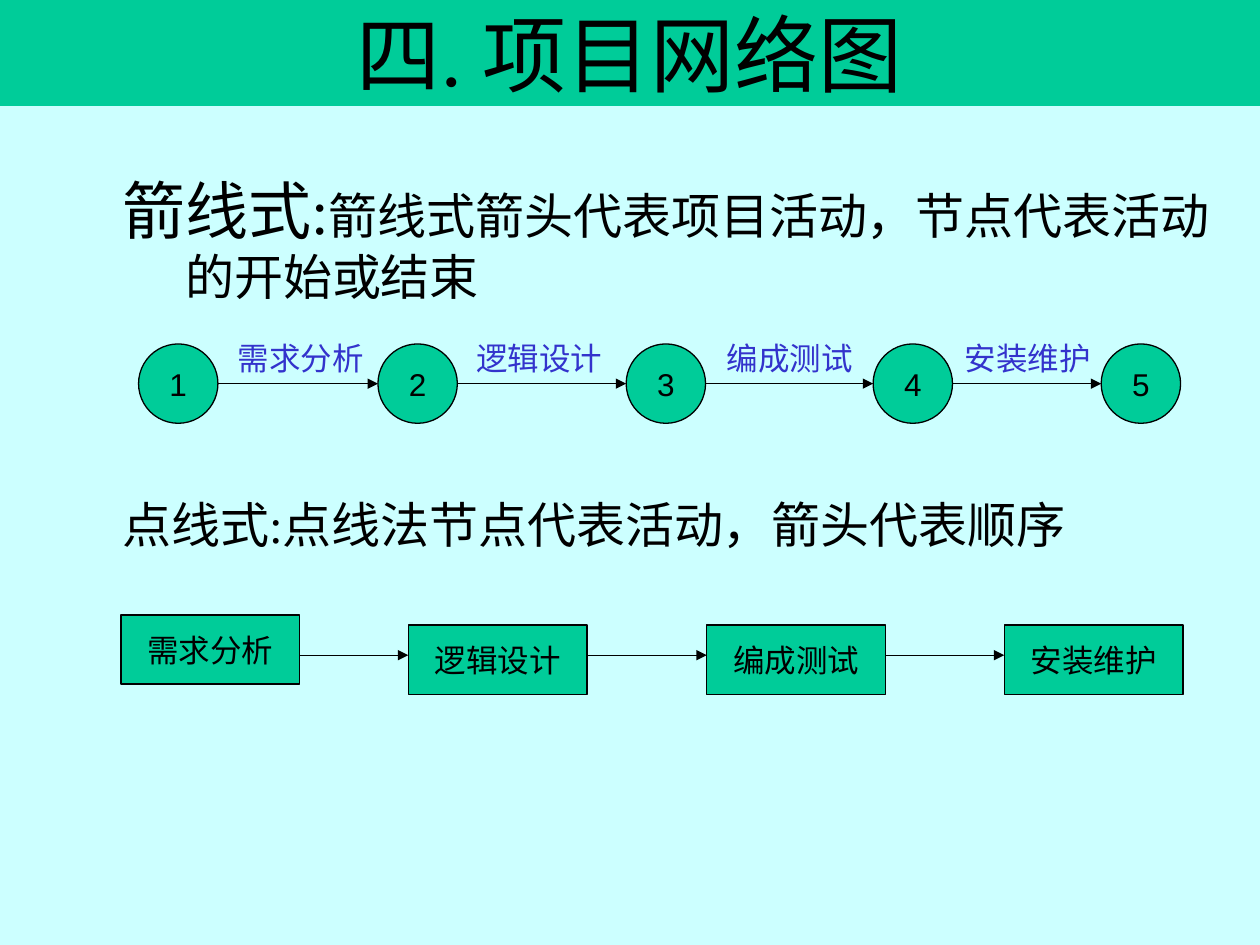
import dataclasses
import itertools

import pptx
import pptx.dml.color
import pptx.enum.shapes
import pptx.enum.text
import pptx.util
from lxml import etree
from pptx.oxml.ns import qn

Pt = pptx.util.Pt
Align = pptx.enum.text.PP_ALIGN
Anchor = pptx.enum.text.MSO_ANCHOR
Preset = pptx.enum.shapes.MSO_SHAPE


@dataclasses.dataclass(frozen=True)
class Theme:
    background: str = "CCFFFF"
    accent: str = "00CC99"
    ink: str = "000000"
    label: str = "3333CC"
    serif: str = "Times New Roman"
    sans: str = "Arial"
    title_size: int = 48
    lead_size: int = 36
    body_size: int = 28
    small_size: int = 18
    line_width: float = 0.75


class Slide:
    """One slide on a grid of 100 columns by 75 rows."""

    def __init__(self, deck, theme):
        self.theme = theme
        self.column = deck.slide_width / 100
        self.row = deck.slide_height / 75
        self.slide = deck.slides.add_slide(deck.slide_layouts[1])
        self.paint(self.slide.background.fill, theme.background)

    def box(self, left, top, width, height):
        return (round(left * self.column), round(top * self.row),
                round(width * self.column), round(height * self.row))

    def paint(self, fill, color):
        fill.solid()
        fill.fore_color.rgb = pptx.dml.color.RGBColor.from_string(color)

    def style(self, font, family, size, color):
        font.name, font.size = family, Pt(size)
        font.color.rgb = pptx.dml.color.RGBColor.from_string(color)

    def move(self, holder, *place):
        holder.left, holder.top, holder.width, holder.height = self.box(*place)

    def title(self, text, *place):
        title = self.slide.shapes.title
        self.move(title, *place)
        self.paint(title.fill, self.theme.accent)
        frame = title.text_frame
        frame.text = text
        frame.vertical_anchor = Anchor.MIDDLE
        frame.auto_size = pptx.enum.text.MSO_AUTO_SIZE.NONE
        heading = frame.paragraphs[0]
        heading.alignment = Align.CENTER
        self.style(heading.font, self.theme.serif, self.theme.title_size, self.theme.ink)

    def definitions(self, entries, *place):
        """Fill the body with (term, term size, meaning, space before) entries."""
        body = self.slide.placeholders[1]
        self.move(body, *place)
        frame = body.text_frame
        frame.auto_size = pptx.enum.text.MSO_AUTO_SIZE.NONE
        for number, (term, term_size, meaning, space) in enumerate(entries):
            entry = frame.add_paragraph() if number else frame.paragraphs[0]
            entry.space_before = Pt(space)
            self.style(entry.font, self.theme.serif, self.theme.body_size, self.theme.ink)
            hanging = entry._p.get_or_add_pPr()
            hanging.set("marL", str(round(5 * self.column)))
            hanging.set("indent", str(round(-5 * self.column)))
            hanging.insert_element_before(
                etree.Element(qn("a:buNone")), "a:tabLst", "a:defRPr", "a:extLst")
            for text, size in ((term, term_size), (meaning, self.theme.body_size)):
                run = entry.add_run()
                run.text = text
                run.font.size = Pt(size)

    def group(self):
        return self.slide.shapes.add_group_shape().shapes

    def node(self, group, preset, text, *place):
        node = group.add_shape(preset, *self.box(*place))
        node.shadow.inherit = False
        self.paint(node.fill, self.theme.accent)
        self.paint(node.line.fill, self.theme.ink)
        node.line.width = Pt(self.theme.line_width)
        node.text_frame.vertical_anchor = Anchor.MIDDLE
        self.caption(node.text_frame, text, self.theme.ink, Align.CENTER)

    def label(self, group, text, *place):
        label = group.add_textbox(*self.box(*place))
        self.caption(label.text_frame, text, self.theme.label, Align.LEFT)

    def caption(self, frame, text, color, alignment):
        frame.word_wrap = False
        frame.text = text
        line = frame.paragraphs[0]
        line.alignment = alignment
        self.style(line.font, self.theme.sans, self.theme.small_size, color)

    def arrow(self, group, start, end, level):
        left, top, right, bottom = self.box(start, level, end, level)
        arrow = group.add_connector(
            pptx.enum.shapes.MSO_CONNECTOR.STRAIGHT, left, top, right, bottom)
        self.paint(arrow.line.fill, self.theme.ink)
        arrow.line.width = Pt(self.theme.line_width)
        etree.SubElement(arrow.line._get_or_add_ln(), qn("a:tailEnd"), type="triangle")
        etree.SubElement(arrow._element.spPr, qn("a:effectLst"))

    def arrows_between(self, group, lefts, width, level):
        for before, after in itertools.pairwise(lefts):
            self.arrow(group, before + width, after, level)


def main():
    deck = pptx.Presentation()
    deck.slide_width, deck.slide_height = pptx.util.Inches(10), pptx.util.Inches(7.5)
    slide = Slide(deck, Theme())
    theme = slide.theme
    activities = ("需求分析", "逻辑设计", "编成测试", "安装维护")

    slide.title("四. 项目网络图", 0, 0, 100, 8.4)
    slide.definitions(
        (("箭线式:", theme.lead_size, "箭线式箭头代表项目活动，节点代表活动的开始或结束", 7),
         ("点线式:", theme.body_size, "点线法节点代表活动，箭头代表顺序", 108)),
        8.7, 13.1, 88.6, 59)

    # Activities on the arrows, numbered events as nodes
    event_lefts, diameter, event_top = (11, 30, 49.7, 69.3, 87.4), 6.3, 27.3
    events = slide.group()
    slide.arrows_between(events, event_lefts, diameter, event_top + diameter / 2)
    for number, left in enumerate(event_lefts, 1):
        slide.node(events, Preset.OVAL, str(number), left, event_top, diameter, diameter)
    for activity, left in zip(activities, (17.9, 36.8, 56.7, 75.6)):
        slide.label(events, activity, left, 26.4, 12, 4)

    # Activities as nodes, order on the arrows
    task_lefts, task_width = (9.6, 32.4, 56.1, 79.7), 14.2
    tasks = slide.group()
    for activity, left, top in zip(activities, task_lefts, (48.8, 49.6, 49.6, 49.6)):
        slide.node(tasks, Preset.RECTANGLE, activity, left, top, task_width, 5.5)
    slide.arrows_between(tasks, task_lefts, task_width, 52)

    deck.save("out.pptx")


if __name__ == "__main__":
    main()
